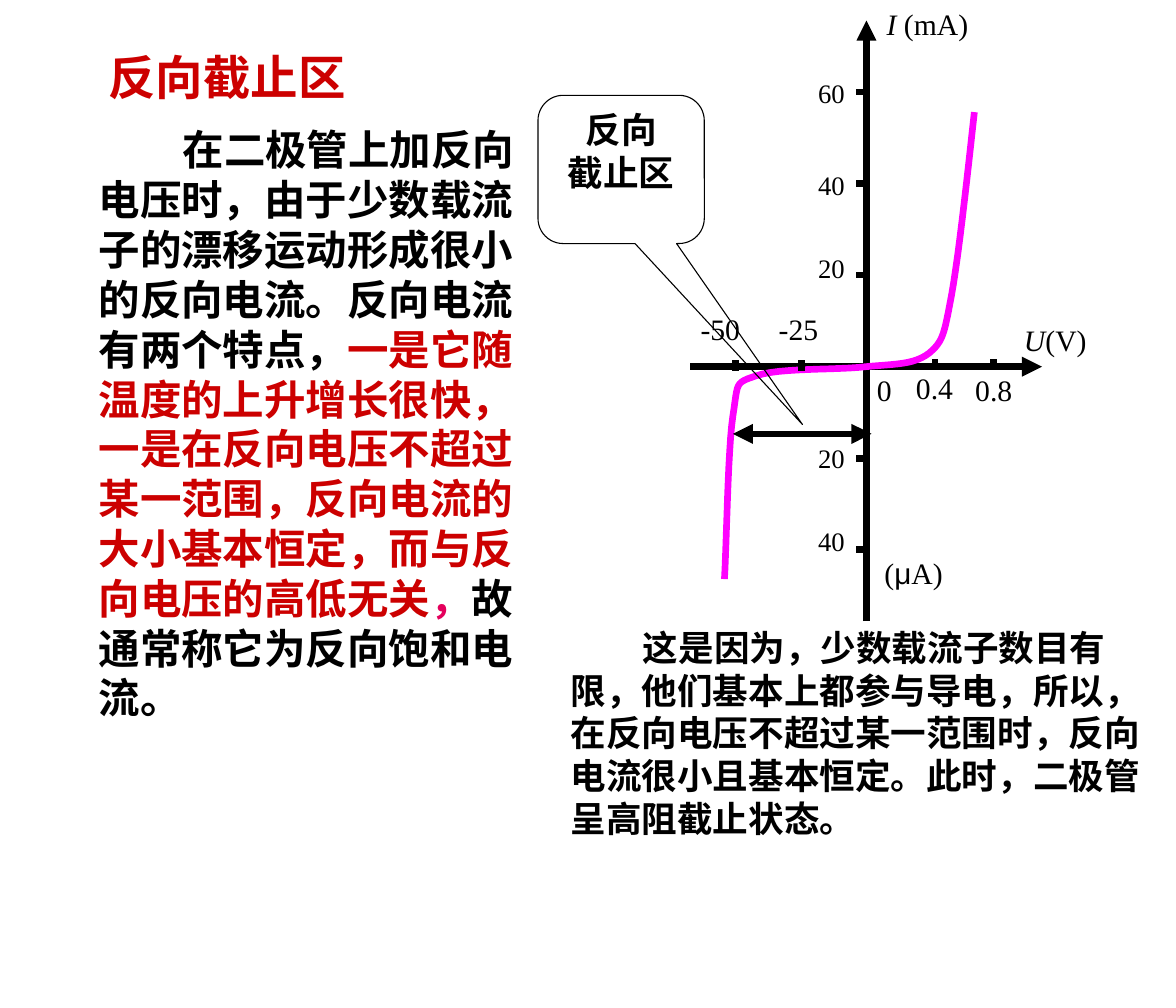
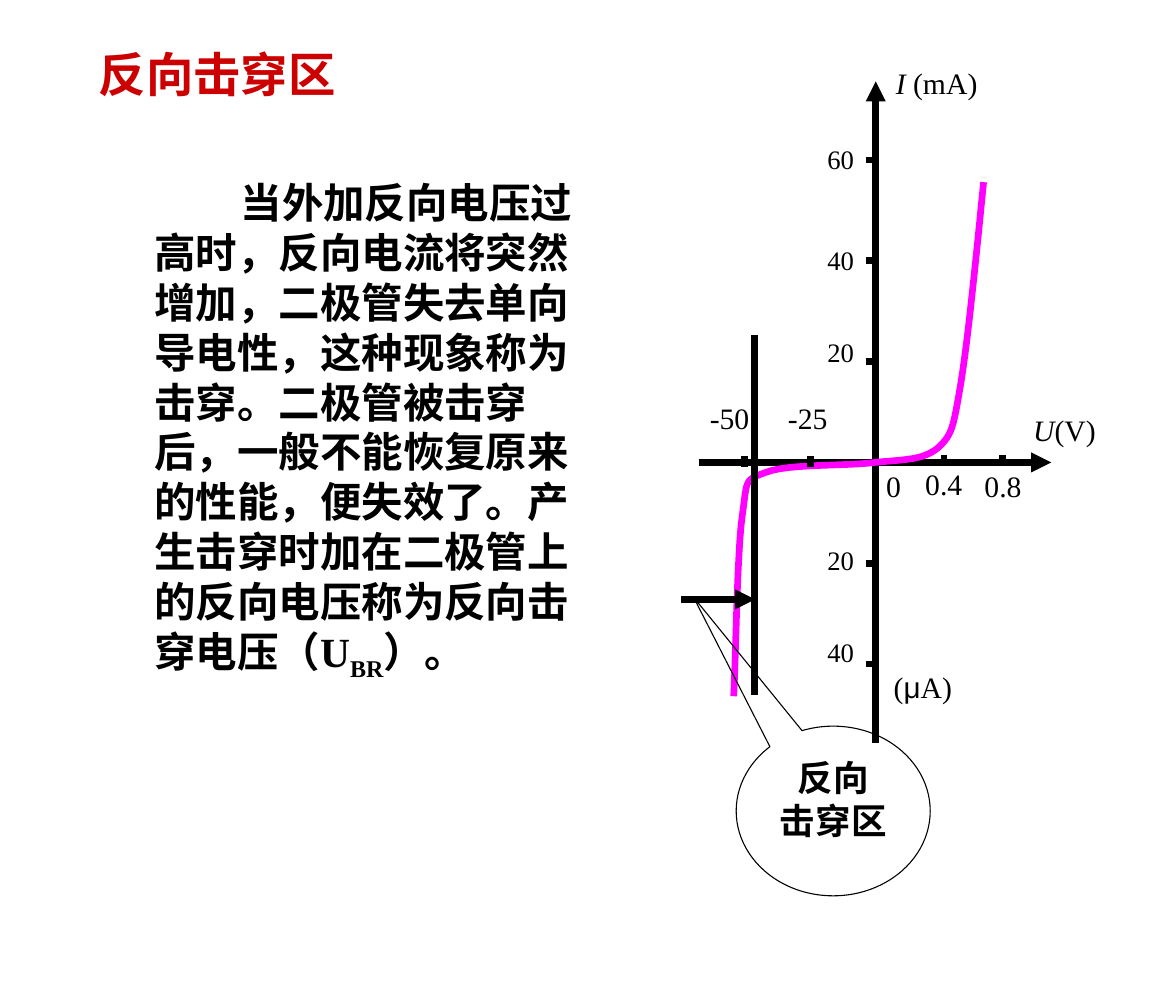
import pptx
import pptx.util
import pptx.dml.color
import pptx.enum.shapes
import pptx.enum.text
import pptx.oxml.ns
import lxml.etree

Cm, Pt = pptx.util.Cm, pptx.util.Pt
SHAPES = pptx.enum.shapes.MSO_SHAPE
ALIGN = pptx.enum.text.PP_ALIGN
ANCHOR = pptx.enum.text.MSO_ANCHOR
COLORS = {
    name: pptx.dml.color.RGBColor.from_string(value)
    for name, value in {
        "text": "000000", "accent": "CC0000", "comma": "E4005C", "curve": "FF00FF",
    }.items()
}
SERIF, SANS = "Times New Roman", "Arial"


def write_text(frame, paragraphs, size, bold=False, color="text", font=SERIF,
               align=None, anchor=ANCHOR.TOP, indent=0):
    """Each paragraph is a list of (text, style) runs; a style holds what differs."""
    frame.word_wrap = True
    frame.vertical_anchor = anchor
    for index, runs in enumerate(paragraphs):
        paragraph = frame.add_paragraph() if index else frame.paragraphs[0]
        paragraph.alignment = align
        paragraph.font.name, paragraph.font.size = font, Pt(size)
        paragraph.font.bold = bold
        paragraph.font.color.rgb = COLORS[color]
        properties = paragraph._p.get_or_add_pPr()
        properties.set("hangingPunct", "0")
        if indent:
            properties.set("indent", str(Cm(indent)))
        for text, style in runs:
            run = paragraph.add_run()
            run.text = text
            if "color" in style:
                run.font.color.rgb = COLORS[style["color"]]
            if "italic" in style:
                run.font.italic = True
            if "font" in style:
                run.font.name = style["font"]
            if "subscript" in style:
                run._r.get_or_add_rPr().set("baseline", "-25000")


def add_line(slide, x1, y1, x2, y2, arrows=()):
    """Draw a thick line; arrows may name headEnd (start) and tailEnd (finish)."""
    connector = slide.shapes.add_connector(
        pptx.enum.shapes.MSO_CONNECTOR.STRAIGHT, Cm(x1), Cm(y1), Cm(x2), Cm(y2))
    connector.line.color.rgb = COLORS["text"]
    connector.line.width = Pt(4.5)
    outline = connector.line._get_or_add_ln()
    for end in arrows:
        lxml.etree.SubElement(outline, pptx.oxml.ns.qn("a:" + end), type="triangle")
    lxml.etree.SubElement(connector._element.spPr, pptx.oxml.ns.qn("a:effectLst"))


# Diode characteristic, measured from the origin: x in cm, y in ticks (down is positive)
CURVE_START = (2.57, -2.78)
CURVE = [
    ((2.49, -2.45), (2.21, -1.23), (2.03, -0.79)),
    ((1.85, -0.35), (1.83, -0.28), (1.5, -0.15)),
    ((1.14, -0.02), (0.69, -0.03), (0, 0)),
    ((-0.69, 0.04), (-2.08, 0.01), (-2.62, 0.1)),
    ((-3.15, 0.18), (-3.05, 0.17), (-3.18, 0.54)),
    ((-3.3, 0.91), (-3.33, 1.95), (-3.38, 2.32)),
]
STEPS = 12
ITALIC = {"italic": True}
# x, y, width, size, runs
AXIS_LABELS = [
    (3.5, -0.55, 2.1, 20, [("U", ITALIC), ("(V)", {})]),
    (0.93, -0.02, 1.62, 20, [("0.4", {})]),
    (0, 0, 0.95, 20, [("0", {})]),
    (2.34, 0, 1.62, 20, [("0.8", {})]),
    (-4.2, -0.67, 1.62, 20, [("-50", {})]),
    (-2.34, -0.67, 1.62, 20, [("-25", {})]),
    (0.23, -4, 2.8, 20, [("I ", ITALIC), ("(mA)", {})]),
    (0.18, 2, 2.8, 20, [("(", {}), ("μ", {"font": SANS}), ("A)", {})]),
] + [
    (-1.4, y, 1.4, 18, [(text, {})])
    for text, y in [("60", -3.22), ("40", -2.22), ("20", -1.31), ("20", 0.76), ("40", 1.67)]
]

# Content of the two slides; boxes are left, top, width, height in cm
SLIDES = [
    {
        "title": ("反向截止区", (2.33, 0.4, 13.23, 2.22)),
        "bodies": [
            ((2.1, 2.84, 10.82, 14.5), 28, 2, [
                ("在二极管上加反向电压时，由于少数载流子的漂移运动形成很小的反向电流。"
                 "反向电流有两个特点，", {}),
                ("一是它随温度的上升增长很快，一是在反向电压不超过某一范围，"
                 "反向电流的大小基本恒定，而与反向电压的高低无关", {"color": "accent"}),
                ("，", {"color": "comma"}),
                ("故通常称它为反向饱和电流。", {}),
            ]),
            ((13.34, 14.78, 14.12, 5.33), 24, 1.72, [
                ("这是因为，少数载流子数目有限，他们基本上都参与导电，所以，"
                 "在反向电压不超过某一范围时，反向电流很小且基本恒定。"
                 "此时，二极管呈高阻截止状态。", {}),
            ]),
        ],
        "origin": (20.63, 8.73),
        "tick": 2.18,
        "markers": [(17.45, 10.33, 20.75, 10.33, ("headEnd", "tailEnd"))],
        "callout": (SHAPES.ROUNDED_RECTANGULAR_CALLOUT, (12.81, 2.27, 3.96, 3.53),
                    (1.09, 1.72, 0.17), ["反向", "截止区"]),
    },
    {
        "title": ("反向击穿区", (2.1, 0.33, 12.34, 2.22)),
        "bodies": [
            ((3.43, 4.1, 11.25, 12.45), 28, 2.05, [
                ("当外加反向电压过高时，反向电流将突然增加，二极管失去单向导电性，"
                 "这种现象称为击穿。二极管被击穿后，一般不能恢复原来的性能，便失效了。"
                 "产生击穿时加在二极管上的反向电压称为反向击穿电压（U", {}),
                ("BR", {"subscript": True}),
                ("）。", {}),
            ]),
        ],
        "origin": (20.85, 11.01),
        "tick": 2.4,
        "markers": [(16.21, 14.27, 17.98, 14.27, ("tailEnd",)),
                    (17.96, 7.98, 17.96, 16.54, ())],
        "callout": (SHAPES.OVAL_CALLOUT, (17.53, 17.29, 4.62, 4.04),
                    (-0.72, -1.26), ["反向", "击穿区"]),
    },
]

presentation = pptx.Presentation()
presentation.slide_width, presentation.slide_height = Cm(28), Cm(24)

for content in SLIDES:
    slide = presentation.slides.add_slide(presentation.slide_layouts[6])

    # Title and body text
    title, box = content["title"]
    shape = slide.shapes.add_textbox(*map(Cm, box))
    write_text(shape.text_frame, [[(title, {})]], 32, bold=True, color="accent",
               font=SANS, anchor=ANCHOR.BOTTOM)
    for box, size, indent, runs in content["bodies"]:
        shape = slide.shapes.add_textbox(*map(Cm, box))
        write_text(shape.text_frame, [runs], size, bold=True, indent=indent)

    # Axes
    x0, y0 = content["origin"]
    tick = content["tick"]
    add_line(slide, x0 - 4.2, y0, x0 + 4.18, y0, ("tailEnd",))
    add_line(slide, x0, y0 + 2.78 * tick, x0, y0 - 3.78 * tick, ("tailEnd",))

    # Characteristic curve, sampled from its cubic segments
    points = [CURVE_START]
    for first, second, end in CURVE:
        start = points[-1]
        for step in range(1, STEPS + 1):
            t = step / STEPS
            points.append(tuple(
                (1 - t) ** 3 * a + 3 * (1 - t) ** 2 * t * b + 3 * (1 - t) * t ** 2 * c + t ** 3 * d
                for a, b, c, d in zip(start, first, second, end)))
    points = [(Cm(x0 + x), Cm(y0 + y * tick)) for x, y in points]
    builder = slide.shapes.build_freeform(*points[0])
    builder.add_line_segments(points[1:], close=False)
    curve = builder.convert_to_shape()
    curve.shadow.inherit = False
    curve.fill.background()
    curve.line.color.rgb = COLORS["curve"]
    curve.line.width = Pt(4.5)

    # Ticks and axis labels
    for x, low in [(3.02, 0.07), (1.63, 0.07), (-1.55, 0.1), (-3.12, 0.1)]:
        add_line(slide, x0 + x, y0 + low, x0 + x, y0 + low - 0.25)
    for step in (-3, -2, -1, 1, 2):
        add_line(slide, x0 - 0.24, y0 + step * tick, x0, y0 + step * tick)
    for x, y, width, size, runs in AXIS_LABELS:
        shape = slide.shapes.add_textbox(Cm(x0 + x), Cm(y0 + y * tick), Cm(width), Cm(1.1))
        write_text(shape.text_frame, [runs], size)

    # Region markers and callout
    for marker in content["markers"]:
        add_line(slide, *marker)
    kind, box, adjustments, lines = content["callout"]
    callout = slide.shapes.add_shape(kind, *map(Cm, box))
    for index, value in enumerate(adjustments):
        callout.adjustments[index] = value
    callout.shadow.inherit = False
    callout.fill.background()
    callout.line.color.rgb = COLORS["text"]
    callout.line.width = Pt(0.75)
    write_text(callout.text_frame, [[(line, {})] for line in lines], 24, bold=True,
               align=ALIGN.CENTER)

presentation.save("out.pptx")
